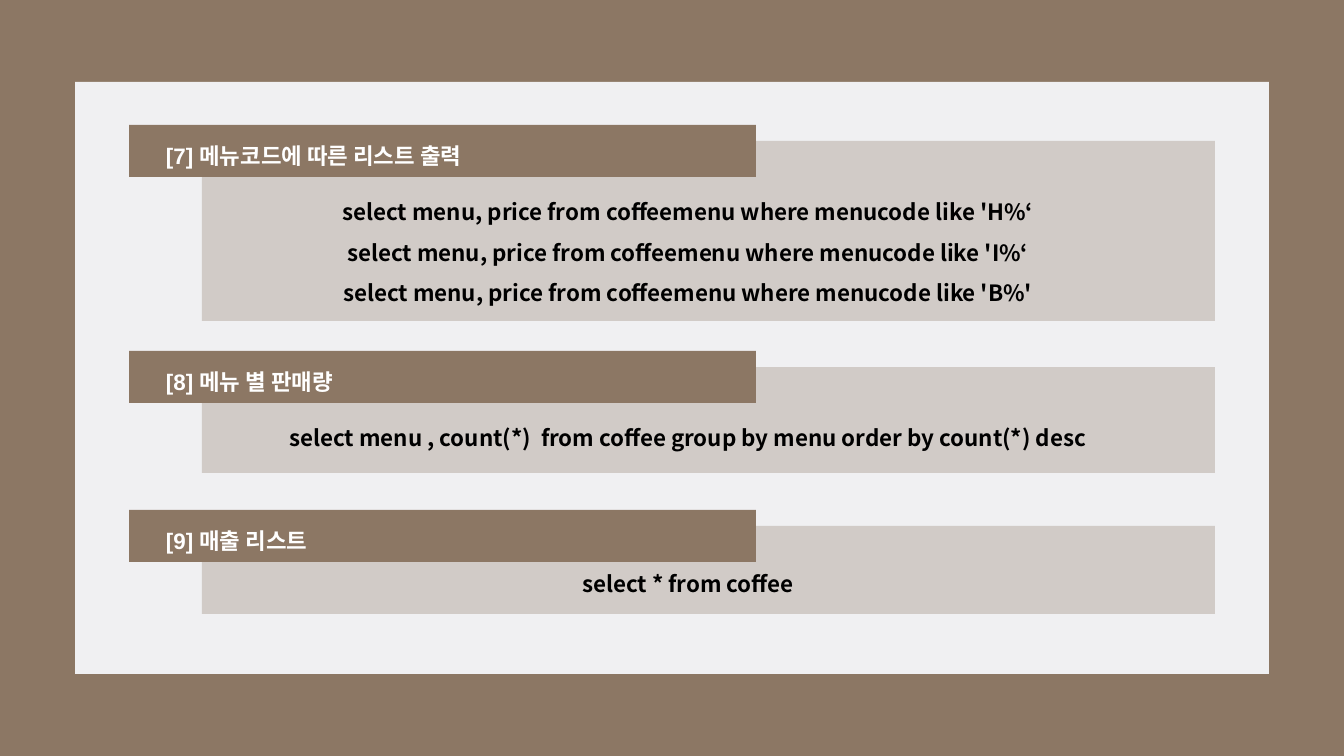
import lxml.etree
import pptx
import pptx.dml.color
import pptx.enum.shapes
import pptx.enum.text
import pptx.oxml.ns
import pptx.util

QUERIES = [
    (125, 180, 127, 1.5, "[7] 메뉴코드에 따른 리스트 출력", [
        "select menu, price from coffeemenu where menucode like 'H%‘",
        "select menu, price from coffeemenu where menucode like 'I%‘",
        "select menu, price from coffeemenu where menucode like 'B%'",
    ]),
    (351, 106, 45, 1.5, "[8] 메뉴 별 판매량", [
        "select menu , count(*)  from coffee group by menu order by count(*) desc",
    ]),
    (510, 88, 37, 1.0, "[9] 매출 리스트", ["select * from coffee"]),
]


class Deck:
    """Holds the style and the current slide, and adds its elements."""

    SCALE = 914400 / 100.8
    COLORS = {"brown": "8C7764", "paper": "F0F0F2", "black": "000000", "white": "FFFFFF"}
    LATIN = "Arial"
    KOREAN = "Noto Sans CJK KR"
    SIZE = 16

    def __init__(self, width, height):
        self.file = pptx.Presentation()
        self.file.slide_width = self.px(width)
        self.file.slide_height = self.px(height)
        self.slide = self.file.slides.add_slide(self.file.slide_layouts[6])
        self.paint(self.slide.background.fill, "brown")

    def px(self, size):
        return pptx.util.Emu(round(size * self.SCALE))

    def color(self, name):
        return pptx.dml.color.RGBColor.from_string(self.COLORS[name])

    def paint(self, fill, name):
        fill.solid()
        fill.fore_color.rgb = self.color(name)

    def rect(self, box, color, alpha=100):
        kind = pptx.enum.shapes.MSO_SHAPE.RECTANGLE
        shape = self.slide.shapes.add_shape(kind, *map(self.px, box))
        shape.shadow.inherit = False
        shape.line.fill.background()
        self.paint(shape.fill, color)
        if alpha < 100:
            tint = shape.fill._xPr.find(".//" + pptx.oxml.ns.qn("a:srgbClr"))
            mark = lxml.etree.SubElement(tint, pptx.oxml.ns.qn("a:alpha"))
            mark.set("val", str(alpha * 1000))

    def text(self, box, lines, font, color, align, spacing):
        frame = self.slide.shapes.add_textbox(*map(self.px, box)).text_frame
        frame.word_wrap = True
        frame.auto_size = pptx.enum.text.MSO_AUTO_SIZE.SHAPE_TO_FIT_TEXT
        frame.text = "\n".join(lines)
        for para in frame.paragraphs:
            para.alignment = align
            para.line_spacing = spacing
            para.font.size = pptx.util.Pt(self.SIZE)
            para.font.bold = True
            para.font.color.rgb = self.color(color)
            para.font.name = font
            style = para._p.pPr.find(pptx.oxml.ns.qn("a:defRPr"))
            asian = lxml.etree.SubElement(style, pptx.oxml.ns.qn("a:ea"))
            asian.set("typeface", self.KOREAN)

    def query(self, top, height, depth, spacing, title, lines):
        align = pptx.enum.text.PP_ALIGN
        self.rect((129, top, 627, 52), "brown")
        self.rect((202, top + 16, 1013, height), "brown", 30)
        self.text((220, top + 55, 936, depth), lines, self.KOREAN, "black", align.CENTER, spacing)
        self.text((156, top - 1, 528, 50), [title], self.LATIN, "white", align.LEFT, 1.5)


def main():
    deck = Deck(1344, 756)
    deck.rect((75, 82, 1194, 592), "paper")
    for query in QUERIES:
        deck.query(*query)
    deck.file.save("out.pptx")


if __name__ == "__main__":
    main()
